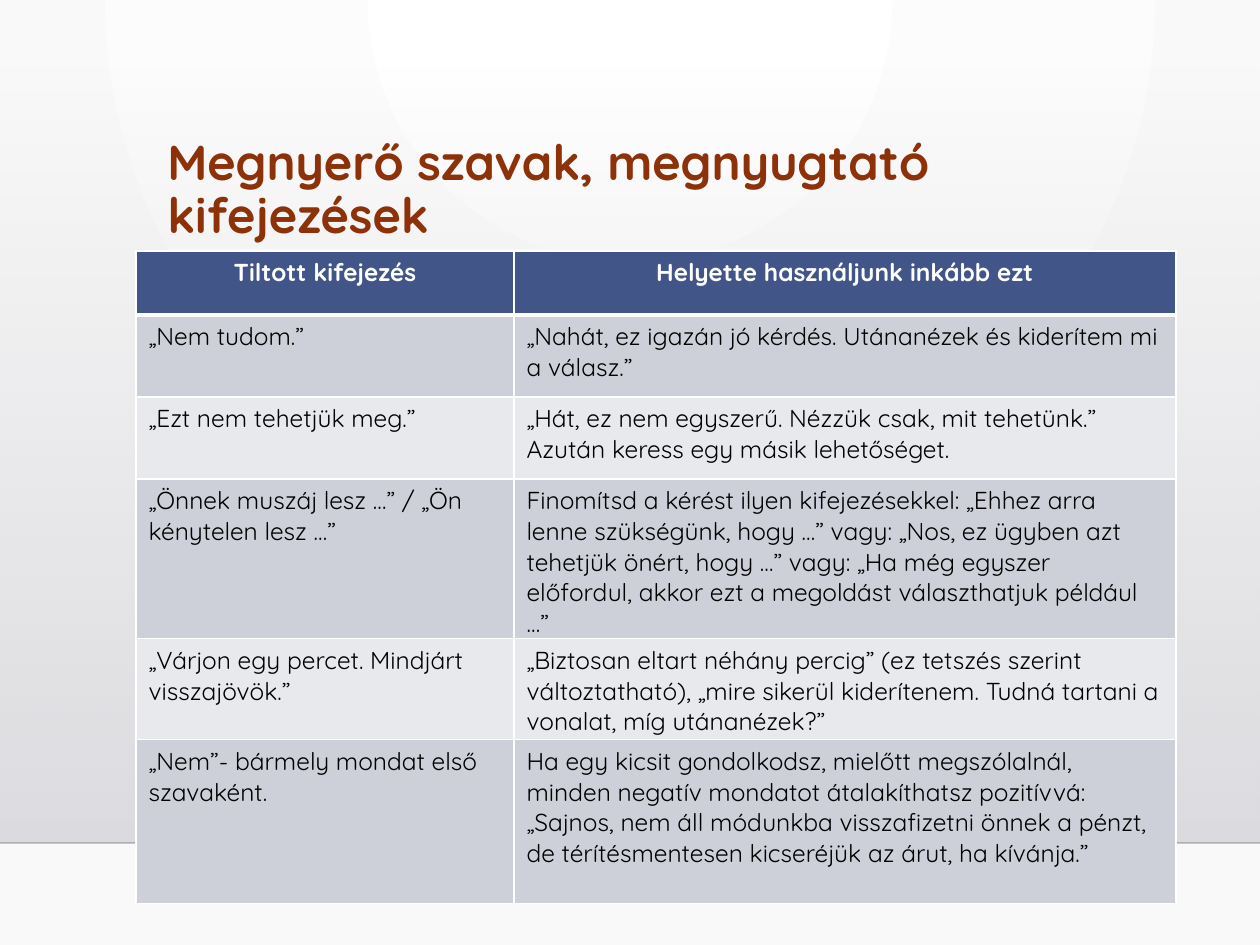
from lxml.etree import SubElement
from pptx import Presentation
from pptx.dml.color import RGBColor
from pptx.enum.shapes import MSO_CONNECTOR, MSO_SHAPE
from pptx.enum.text import MSO_ANCHOR, PP_ALIGN
from pptx.oxml import parse_xml
from pptx.oxml.ns import nsdecls, qn
from pptx.util import Pt

PX = 914400 // 126
FONT = "Quicksand"
HUES = {
    "white": "FFFFFF", "edge": "F9F9F9", "haze": "DCDCE0", "floor": "DEDEE2",
    "rule": "000001", "title": "8D3108", "head": "415588", "text": "000000",
    "odd": "CED0D9", "even": "E8E9ED",
}
COLS = [378, 662]
HIGHS = [64, 82, 82, 156, 100, 164]
ROWS = [
    ("Tiltott kifejezés", "Helyette használjunk inkább ezt"),
    ("„Nem tudom.”",
     "„Nahát, ez igazán jó kérdés. Utánanézek és kiderítem mi a válasz.”"),
    ("„Ezt nem tehetjük meg.”",
     "„Hát, ez nem egyszerű. Nézzük csak, mit tehetünk.” "
     "Azután keress egy másik lehetőséget."),
    ("„Önnek muszáj lesz …” / „Ön kénytelen lesz …”",
     "Finomítsd a kérést ilyen kifejezésekkel: „Ehhez arra lenne szükségünk, "
     "hogy …” vagy: „Nos, ez ügyben azt tehetjük önért, hogy …” vagy: „Ha még "
     "egyszer előfordul, akkor ezt a megoldást választhatjuk például …”"),
    ("„Várjon egy percet. Mindjárt visszajövök.”",
     "„Biztosan eltart néhány percig” (ez tetszés szerint változtatható), "
     "„mire sikerül kiderítenem. Tudná tartani a vonalat, míg utánanézek?”"),
    ("„Nem”- bármely mondat első szavaként.",
     "Ha egy kicsit gondolkodsz, mielőtt megszólalnál, minden negatív mondatot "
     "átalakíthatsz pozitívvá: „Sajnos, nem áll módunkba visszafizetni önnek a "
     "pénzt, de térítésmentesen kicseréjük az árut, ha kívánja.”"),
]


def emu(*vals):
    return [v * PX for v in vals]


def rgb(name):
    return RGBColor.from_string(HUES[name])


def style(par, size, hue, bold):
    font = par.font
    font.name, font.size, font.bold = FONT, Pt(size), bold
    font.color.rgb = rgb(hue)


def blend(fill, *names):
    fill.gradient()
    for stop, name in zip(fill.gradient_stops, names):
        stop.color.rgb = rgb(name)


def fade(root, share):
    """Set the opacity of the first colour under root, in percent."""
    tone = next(root.iter(qn("a:srgbClr")))
    SubElement(tone, qn("a:alpha"), val=str(share * 1000))


def backdrop(slide, box):
    # Round glow from the top centre
    blend(slide.background.fill, "white", "edge")
    grad = next(slide.element.iter(qn("a:gradFill")))
    grad.remove(grad.find(qn("a:lin")))
    grad.append(parse_xml(
        f'<a:path {nsdecls("a")} path="circle">'
        '<a:fillToRect l="50000" t="0" r="50000" b="100000"/></a:path>'))

    # Haze that thickens downwards
    left, top, wide, high = box
    haze = slide.shapes.add_shape(MSO_SHAPE.RECTANGLE, *emu(*box))
    haze.shadow.inherit = False
    haze.line.fill.background()
    blend(haze.fill, "haze", "floor")
    haze.fill.gradient_angle = 270
    fade(haze.element.spPr, 0)

    # Floor line
    base = top + high
    rule = slide.shapes.add_connector(
        MSO_CONNECTOR.STRAIGHT, *emu(left, base, left + wide, base))
    rule.line.width = Pt(1)
    rule.line.color.rgb = rgb("rule")
    props = rule.element.spPr
    fade(props, 20)
    SubElement(props, qn("a:effectLst"))


def title(slide, box, text):
    frame = slide.shapes.add_textbox(*emu(*box)).text_frame
    frame.word_wrap = True
    frame.vertical_anchor = MSO_ANCHOR.TOP
    par = frame.paragraphs[0]
    par.text = text
    par.line_spacing = 0.9
    style(par, 28, "title", True)


def border(cell, row):
    props = cell._tc.get_or_add_tcPr()
    for side in "LRTB":
        thick = (row, side) in ((0, "B"), (1, "T"))
        props.append(parse_xml(
            f'<a:ln{side} {nsdecls("a")} w="{Pt(3 if thick else 0.96)}">'
            f'<a:solidFill><a:srgbClr val="{HUES["white"]}"/></a:solidFill>'
            f'</a:ln{side}>'))


def phrases(slide, left, top):
    size = emu(left, top, sum(COLS), sum(HIGHS))
    grid = slide.shapes.add_table(len(ROWS), len(COLS), *size).table
    for col, wide in zip(grid.columns, COLS):
        col.width = wide * PX
    for row, (texts, high) in enumerate(zip(ROWS, HIGHS)):
        grid.rows[row].height = high * PX
        head = row == 0
        fill = "head" if head else "odd" if row % 2 else "even"
        for col, text in enumerate(texts):
            cell = grid.cell(row, col)
            border(cell, row)
            cell.fill.solid()
            cell.fill.fore_color.rgb = rgb(fill)
            par = cell.text_frame.paragraphs[0]
            par.text = text
            par.alignment = PP_ALIGN.CENTER if head else PP_ALIGN.LEFT
            style(par, 14, "white" if head else "text", head)


def main():
    deck = Presentation()
    deck.slide_width, deck.slide_height = emu(1260, 945)
    slide = deck.slides.add_slide(deck.slide_layouts[6])
    backdrop(slide, (0, 64, 1260, 779))
    title(slide, (155, 132, 1020, 145), "Megnyerő szavak, megnyugtató kifejezések")
    phrases(slide, 136, 251)
    deck.save("out.pptx")


if __name__ == "__main__":
    main()
